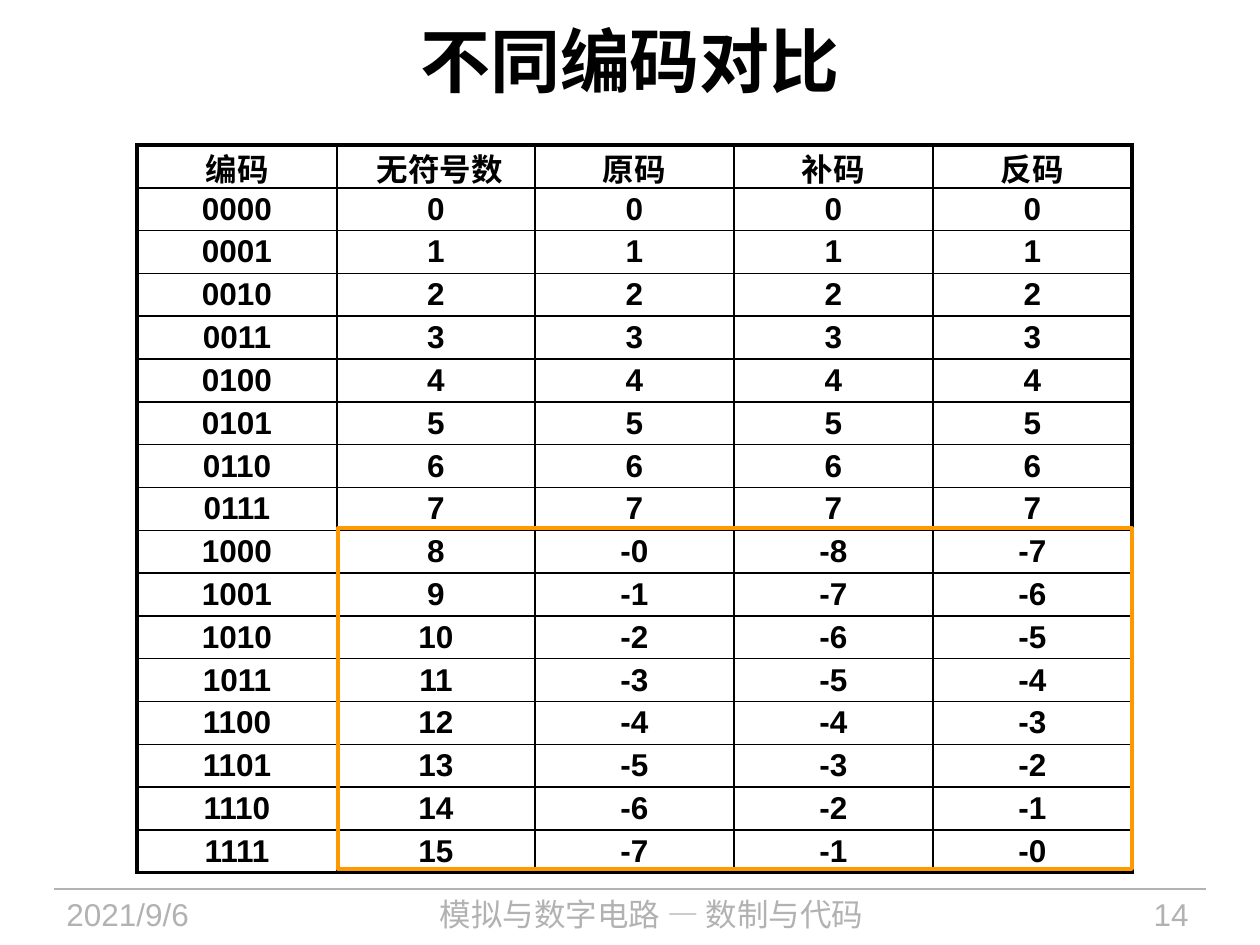
from lxml.etree import SubElement
from pptx import Presentation
from pptx.dml.color import RGBColor
from pptx.enum.shapes import MSO_CONNECTOR as Connector, MSO_SHAPE as Shape
from pptx.enum.text import MSO_ANCHOR as Anchor, PP_ALIGN as Align
from pptx.oxml.ns import qn
from pptx.util import Emu, Pt

EMU_PER_INCH = 914400
PX_PER_INCH = 126
BLACK, GREY, ORANGE = "000000", "B2B2B2", "FF9900"
THIN, THICK = Pt(1), Pt(2.25)
TITLE_FONT = {"name": "Arial", "size": Pt(40), "bold": True}
CELL_FONT = {"name": "Arial", "size": Pt(18), "bold": True}
FOOTER_FONT = {"name": "Arial", "size": Pt(18), "bold": False}
CELL_FORMAT = {"vertical_anchor": Anchor.MIDDLE, "margin_left": 0, "margin_top": 0,
               "margin_right": 0, "margin_bottom": 0}
PLAIN_TABLE = {"first_row": False, "horz_banding": False}
HEADINGS = ["编码", " 无符号数", "原码", "补码", "反码"]
COLUMN_WIDTHS = [200, 198, 199, 199, 199]


def px(*lengths):
    """Turn pixel lengths into a list of EMU lengths."""
    return [Emu(round(length * EMU_PER_INCH / PX_PER_INCH)) for length in lengths]


def rgb(code):
    """Turn a hex string into a colour."""
    return RGBColor.from_string(code)


def apply(target, values):
    """Set each named attribute on the target."""
    for name, value in values.items():
        setattr(target, name, value)


def write(frame, text, font, color, align):
    """Write one formatted paragraph and return it."""
    paragraph = frame.paragraphs[0]
    paragraph.alignment = align
    run = paragraph.add_run()
    run.text = text
    apply(run.font, font)
    run.font.color.rgb = rgb(color)
    return paragraph


def add_label(slide, box, text, font, color, align, anchor=Anchor.TOP):
    """Add a wrapped text box."""
    frame = slide.shapes.add_textbox(*px(*box)).text_frame
    apply(frame, {"word_wrap": True, "vertical_anchor": anchor})
    write(frame, text, font, color, align)


def add_footer_rule(slide, left, right, y):
    """Add the thin rule above the footer."""
    rule = slide.shapes.add_connector(Connector.STRAIGHT, *px(left, y, right, y))
    rule.line.color.rgb = rgb(GREY)
    rule.line.width = Pt(0.75)
    SubElement(rule._element.spPr, qn("a:effectLst"))


def add_highlight(slide, box):
    """Add the outline around the codes whose sign bit is set."""
    outline = slide.shapes.add_shape(Shape.RECTANGLE, *px(*box))
    outline.shadow.inherit = False
    outline.fill.background()
    outline.line.color.rgb = rgb(ORANGE)
    outline.line.width = THICK


def set_borders(cell, widths):
    """Draw black cell borders of the given widths by side."""
    properties = cell._tc.get_or_add_tcPr()
    for side, width in widths.items():
        border = SubElement(properties, qn(f"a:ln{side}"), w=str(int(width)))
        fill = SubElement(border, qn("a:solidFill"))
        SubElement(fill, qn("a:srgbClr"), val=BLACK)


def fill_cell(cell, text, borders):
    """Format one table cell and write its text."""
    apply(cell, CELL_FORMAT)
    set_borders(cell, borders)
    cell.fill.background()
    paragraph = write(cell.text_frame, text, CELL_FONT, BLACK, Align.CENTER)
    spacing = SubElement(paragraph._p.get_or_add_pPr(), qn("a:spcAft"))
    SubElement(spacing, qn("a:spcPct"), val="20000")


def code_row(number):
    """Give a 4-bit code with its unsigned, sign-magnitude and complement values."""
    if number < 8:
        signed = [number] * 3
    else:
        signed = [f"-{number - 8}", f"-{16 - number}", f"-{15 - number}"]
    return [f"{number:04b}", *map(str, [number, *signed])]


def add_code_table(slide, left, top, height):
    """Add the table that compares the encodings."""
    rows = [HEADINGS, *map(code_row, range(16))]
    last_row, last_column = len(rows) - 1, len(HEADINGS) - 1
    box = px(left, top, sum(COLUMN_WIDTHS), height)
    table = slide.shapes.add_table(len(rows), len(HEADINGS), *box).table
    apply(table, PLAIN_TABLE)
    for column, width in zip(table.columns, px(*COLUMN_WIDTHS)):
        column.width = width
    for r, row in enumerate(rows):
        for c, text in enumerate(row):
            on_edge = {"L": c == 0, "R": c == last_column, "T": r == 0, "B": r == last_row}
            borders = {side: THICK if edge else THIN for side, edge in on_edge.items()}
            fill_cell(table.cell(r, c), text, borders)


def main():
    """Build and save the slide."""
    deck = Presentation()
    deck.slide_width, deck.slide_height = px(1260, 945)
    slide = deck.slides.add_slide(deck.slide_layouts[6])
    add_footer_rule(slide, 54, 1206, 889)
    footers = [
        ((54, 889, 237, 56), "2021/9/6", Align.LEFT),
        ((314, 889, 675, 56), "模拟与数字电路 — 数制与代码", Align.CENTER),
        ((1033, 889, 168, 56), "14", Align.RIGHT),
    ]
    for box, text, align in footers:
        add_label(slide, box, text, FOOTER_FONT, GREY, align)
    add_label(slide, (63, 21, 1134, 77), "不同编码对比", TITLE_FONT, BLACK,
              Align.CENTER, Anchor.MIDDLE)
    add_code_table(slide, 137, 145, 728)
    add_highlight(slide, (338, 528, 794, 341))
    deck.save("out.pptx")


if __name__ == "__main__":
    main()
